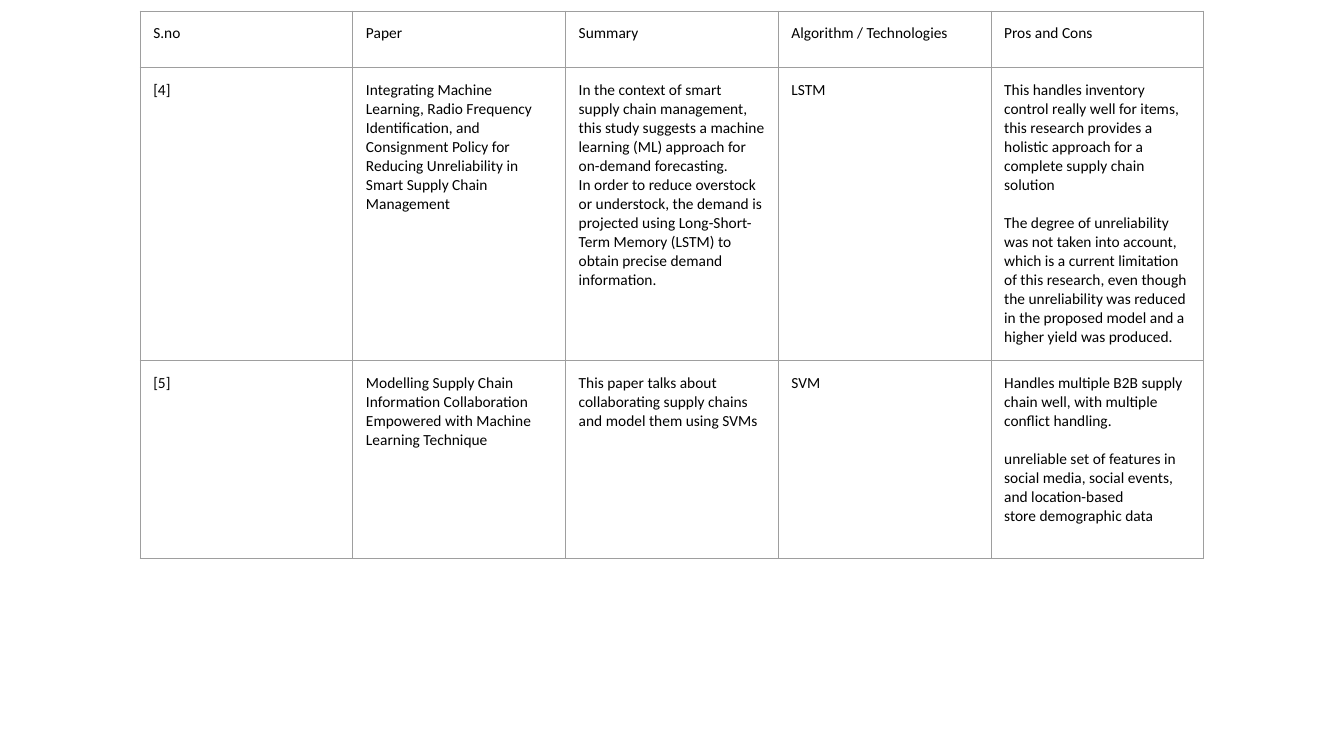
"""Build a literature survey slide comparing supply chain papers."""
from typing import NamedTuple

from lxml import etree
from pptx import Presentation, util as u
from pptx.dml.color import RGBColor
from pptx.oxml.ns import qn

INK, RULE = "000000", "9E9E9E"
COLUMN_WIDTH, PADDING = u.Inches(2.11), u.Inches(0.13)


class Entry(NamedTuple):
    height: float
    number: str
    paper: str
    summary: str
    technologies: str
    pros: str
    cons: str = ""


SURVEY = [
    Entry(0.56, "S.no", "Paper", "Summary", "Algorithm / Technologies", "Pros and Cons"),
    Entry(
        2.91,
        "[4]",
        "Integrating Machine Learning, Radio Frequency Identification, and "
        "Consignment Policy for Reducing Unreliability in Smart Supply Chain Management",
        "In the context of smart supply chain management, this study suggests a "
        "machine learning (ML) approach for on-demand forecasting.\n"
        "In order to reduce overstock or understock, the demand is projected using "
        "Long-Short-Term Memory (LSTM) to obtain precise demand information.",
        "LSTM",
        "This handles inventory control really well for items, this research provides "
        "a holistic approach for a complete supply chain solution",
        "The degree of unreliability was not taken into account, which is a current "
        "limitation of this research, even though the unreliability was reduced in the "
        "proposed model and a higher yield was produced.",
    ),
    Entry(
        1.96,
        "[5]",
        "Modelling Supply Chain Information Collaboration Empowered with Machine "
        "Learning Technique",
        "This paper talks about collaborating supply chains and model them using SVMs",
        "SVM",
        "Handles multiple B2B supply chain well, with multiple conflict handling.",
        "unreliable set of features in social media, social events, and location-based\n"
        "store demographic data",
    ),
]


def color(value: str) -> RGBColor:
    """Turn a hex string into a colour."""
    return RGBColor.from_string(value)


def draw_borders(cell) -> None:
    """Rule all four sides of a cell."""
    properties = cell._tc.get_or_add_tcPr()
    for side in ("lnL", "lnR", "lnT", "lnB"):
        line = etree.SubElement(properties, qn(f"a:{side}"), w=str(u.Pt(0.75)))
        fill = etree.SubElement(line, qn("a:solidFill"))
        etree.SubElement(fill, qn("a:srgbClr"), val=RULE)


def write_cell(cell, wording: str) -> None:
    """Fill a cell with text, padding and borders."""
    cell.margin_left = cell.margin_right = PADDING
    cell.margin_top = cell.margin_bottom = PADDING
    draw_borders(cell)
    cell.fill.background()
    cell.text_frame.text = wording
    for paragraph in cell.text_frame.paragraphs:
        for run in paragraph.runs:
            run.font.name = "Calibri"
            run.font.size = u.Pt(11)
            run.font.color.rgb = color(INK)


def draw_entry(survey, index: int, entry: Entry) -> None:
    """Write one row, setting the cons apart from the pros."""
    survey.rows[index].height = u.Inches(entry.height)
    verdict = "\n".join(filter(None, (entry.pros, entry.cons)))
    wordings = (entry.number, entry.paper, entry.summary, entry.technologies, verdict)
    for cell, wording in zip(survey.rows[index].cells, wordings):
        write_cell(cell, wording)
    if entry.cons:
        verdict_cell = survey.cell(index, len(wordings) - 1)
        verdict_cell.text_frame.paragraphs[1].space_before = u.Pt(13.4)


def main() -> None:
    """Create and save the presentation."""
    deck = Presentation()
    deck.slide_width, deck.slide_height = u.Inches(13.33), u.Inches(7.5)
    slide = deck.slides.add_slide(deck.slide_layouts[6])
    height = u.Inches(sum(entry.height for entry in SURVEY))
    survey = slide.shapes.add_table(
        len(SURVEY), 5, u.Inches(1.39), u.Inches(0.11), COLUMN_WIDTH * 5, height
    ).table
    survey.first_row = survey.horz_banding = False
    for index, entry in enumerate(SURVEY):
        draw_entry(survey, index, entry)
    deck.save("out.pptx")


main()
